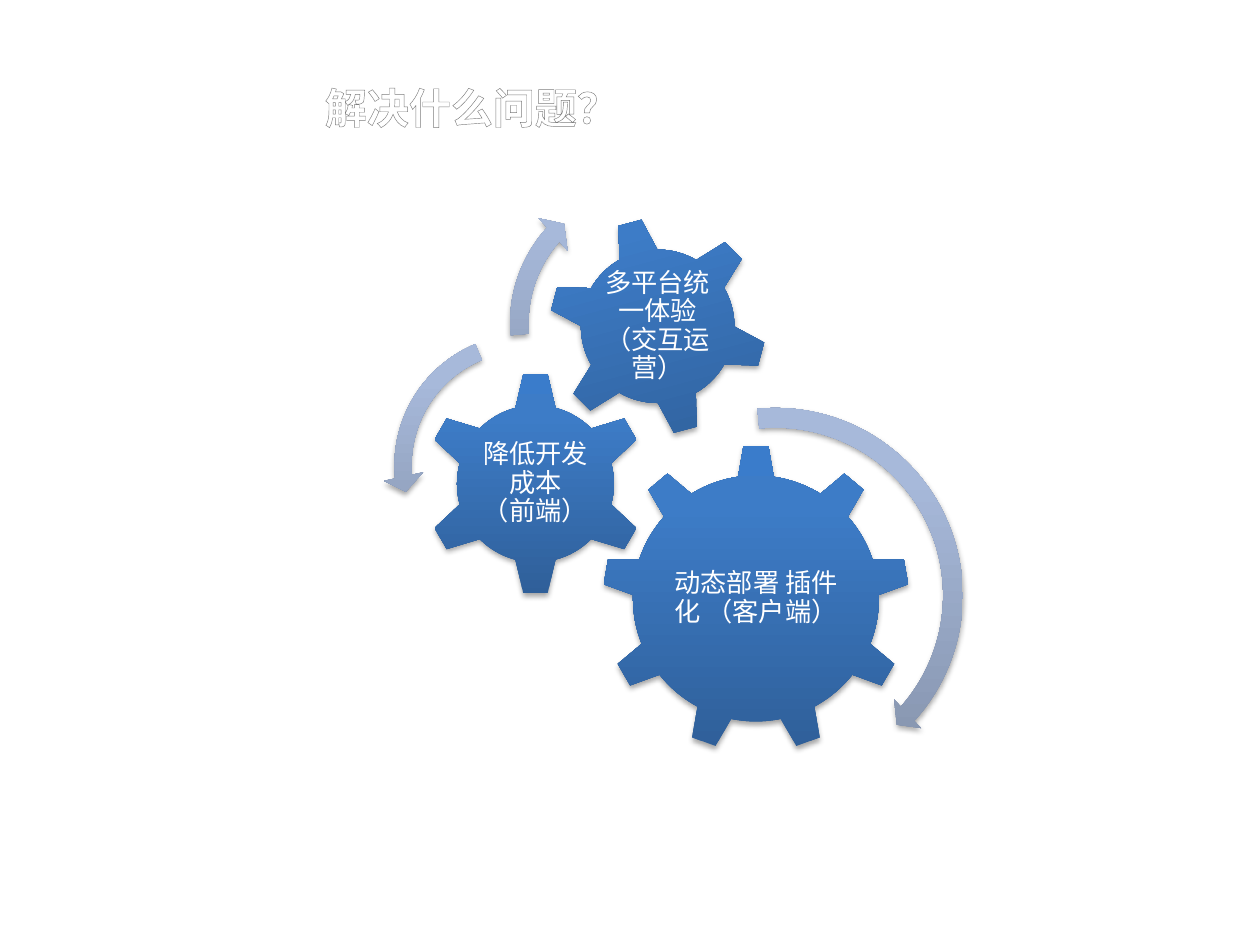
from lxml import etree
from pptx import Presentation
from pptx import util as u
from pptx.dml.color import RGBColor
from pptx.enum import shapes, text
from pptx.oxml.ns import qn

FONT = "Calibri"
GEAR_STOPS = [(0, "2F5F99"), (80, "3D7CC7"), (100, "3A7CCB")]
ARROW_STOPS = [(0, "818FA8"), (80, "A7B9DA"), (100, "A7BADC")]
TITLE_STOPS = [(0, "FFFFFF"), (9, "FFFFFF"), (50, "7F7F7F"),
               (79, "FFFFFF"), (100, "FFFFFF")]

# Shape, left, top, size, rotation, label, label inset (x, y)
GEARS = [
    (shapes.MSO_SHAPE.GEAR_9, 4.78, 3.53, 2.44, 0,
     "动态部署 插件化 （客户端）", (0.49, 0.59)),
    (shapes.MSO_SHAPE.GEAR_6, 3.36, 2.95, 1.78, 0,
     "降低开发成本 （前端）", (0.45, 0.45)),
    (shapes.MSO_SHAPE.GEAR_6, 4.35, 1.72, 1.74, 345,
     "多平台统一体验（交互运营）", (0.38, 0.38)),
]
# Shape, left, top, size, adjustments
ARROWS = [
    (shapes.MSO_SHAPE.CIRCULAR_ARROW, 4.59, 3.16, 3.13,
     (0.05, 2.99, 25.13, 158.68, 0.05)),
    (shapes.MSO_SHAPE.LEFT_CIRCULAR_ARROW, 3.04, 2.56, 2.27,
     (0.06, 4.3, 104.89, 148.38, 0.07)),
    (shapes.MSO_SHAPE.CIRCULAR_ARROW, 3.95, 1.34, 2.45,
     (0.06, 3.94, 133.14, 105.08, 0.07)),
]


def color(hex_value):
    return RGBColor.from_string(hex_value)


def add_color(parent, hex_value):
    return etree.SubElement(parent, qn("a:srgbClr"), val=str(color(hex_value)))


def set_gradient(fill, parent, stops, angle):
    """Fill with any number of stops; the angle runs counter-clockwise."""
    fill.gradient()
    fill.gradient_angle = angle
    stop_list = parent.find(qn("a:gradFill")).find(qn("a:gsLst"))
    for stop in list(stop_list):
        stop_list.remove(stop)
    for percent, hex_value in stops:
        stop = etree.SubElement(stop_list, qn("a:gs"), pos=str(percent * 1000))
        add_color(stop, hex_value)


def add_shadow(shape):
    shape.shadow.inherit = False
    effects = shape.element.spPr.find(qn("a:effectLst"))
    shadow = etree.SubElement(
        effects, qn("a:outerShdw"), blurRad=str(u.Pt(3.1)),
        dist=str(u.Pt(1.8)), dir="5400000", rotWithShape="0")
    etree.SubElement(add_color(shadow, "000000"), qn("a:alpha"), val="35000")


def add_gradient_shape(slide, kind, left, top, size, stops):
    shape = slide.shapes.add_shape(
        kind, u.Inches(left), u.Inches(top), u.Inches(size), u.Inches(size))
    set_gradient(shape.fill, shape.element.spPr, stops, 90)
    shape.line.fill.background()
    add_shadow(shape)
    return shape


def add_text(slide, left, top, width, height, wording, size):
    box = slide.shapes.add_textbox(
        u.Inches(left), u.Inches(top), u.Inches(width), u.Inches(height))
    frame = box.text_frame
    frame.word_wrap = True
    frame.text = wording
    font = frame.paragraphs[0].runs[0].font
    font.name = FONT
    font.size = u.Pt(size)
    return frame


def add_gear(slide, kind, left, top, size, rotation, label, inset):
    gear = add_gradient_shape(slide, kind, left, top, size, GEAR_STOPS)
    gear.rotation = rotation
    inset_x, inset_y = inset
    frame = add_text(slide, left + inset_x, top + inset_y,
                     size - 2 * inset_x, size - 2 * inset_y, label, 15)
    frame.margin_left = frame.margin_right = u.Inches(0.02)
    frame.margin_top = frame.margin_bottom = u.Inches(0.02)
    frame.vertical_anchor = text.MSO_ANCHOR.MIDDLE
    paragraph = frame.paragraphs[0]
    paragraph.alignment = text.PP_ALIGN.CENTER
    paragraph.line_spacing = 0.9
    paragraph.runs[0].font.color.rgb = color("FFFFFF")


def add_arrow(slide, kind, left, top, size, adjustments):
    arrow = add_gradient_shape(slide, kind, left, top, size, ARROW_STOPS)
    for index, value in enumerate(adjustments):
        arrow.adjustments[index] = value


def add_title(slide, left, top, width, height):
    frame = add_text(slide, left, top, width, height, "解决什么问题？", 24)
    frame.auto_size = text.MSO_AUTO_SIZE.SHAPE_TO_FIT_TEXT
    run = frame.paragraphs[0].runs[0]
    run.font.bold = True
    properties = run.font.fill and run._r.get_or_add_rPr()
    set_gradient(run.font.fill, properties, TITLE_STOPS, 270)
    outline = etree.Element(qn("a:ln"), w=str(u.Pt(0.83)))
    add_color(etree.SubElement(outline, qn("a:solidFill")), "7D7D7D")
    properties.insert(0, outline)


def main():
    presentation = Presentation()
    presentation.slide_width = u.Inches(10)
    presentation.slide_height = u.Inches(7.5)
    slide = presentation.slides.add_slide(presentation.slide_layouts[6])
    for gear in GEARS:
        add_gear(slide, *gear)
    for arrow in ARROWS:
        add_arrow(slide, *arrow)
    add_title(slide, 2.48, 0.6, 3.78, 0.5)
    presentation.save("out.pptx")


if __name__ == "__main__":
    main()
